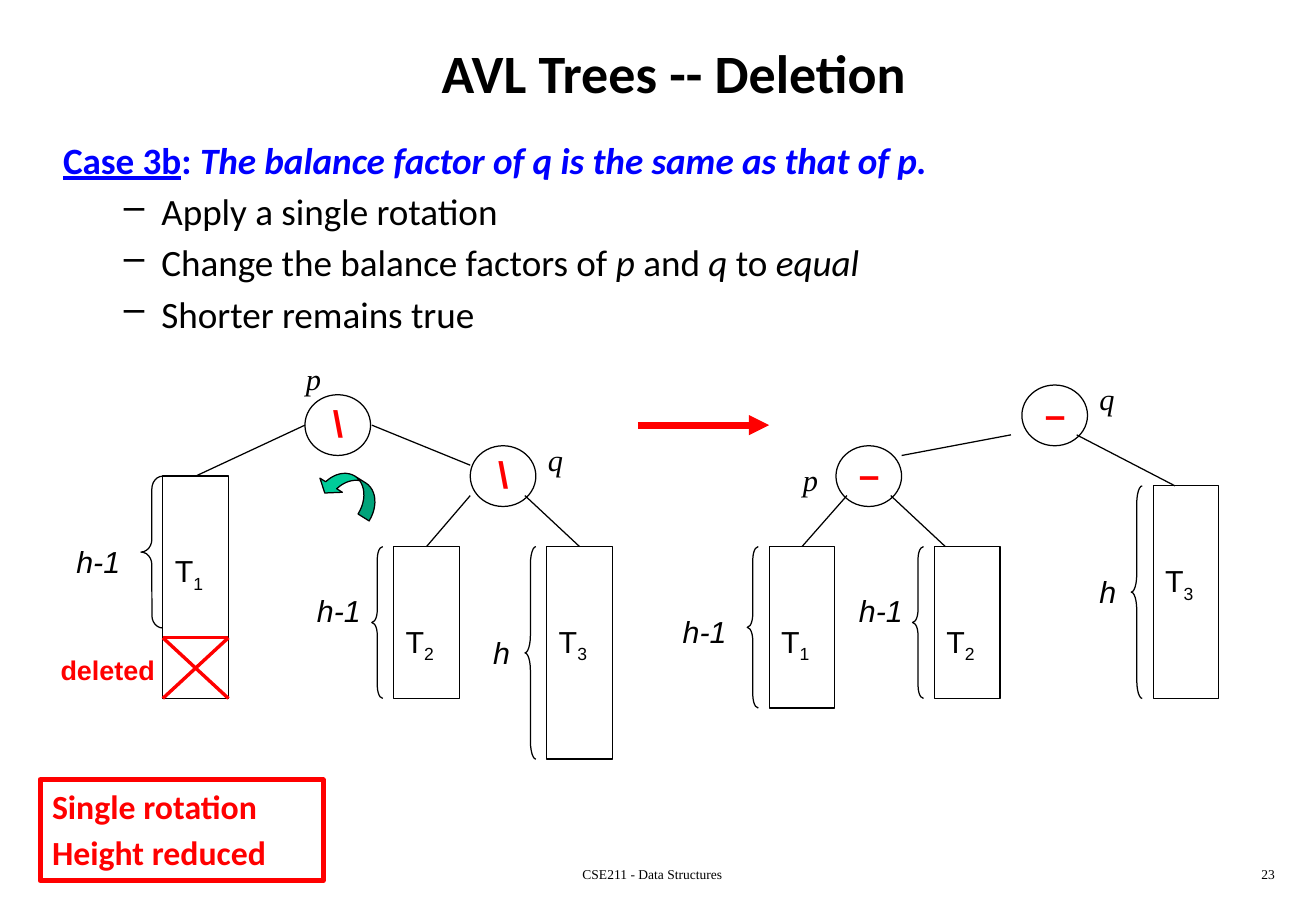
from lxml import etree
from pptx import Presentation
from pptx import util as u
from pptx.dml.color import RGBColor
from pptx.enum import shapes, text
from pptx.oxml import ns

COLORS = {"ink": "000000", "paper": "FFFFFF", "blue": "0000FF",
          "red": "FF0000", "green": "00CC99"}

STYLES = {
    "title": {"name": "Calibri", "size": 32, "bold": True, "color": "ink"},
    "case": {"name": "Calibri", "size": 22, "bold": True, "color": "blue"},
    "point": {"name": "Calibri", "size": 22, "bold": False, "color": "ink"},
    "result": {"name": "Calibri", "size": 20, "bold": True, "color": "red"},
    "footer": {"name": "Times New Roman", "size": 8, "color": "ink"},
    "node": {"name": "Times New Roman", "size": 18, "italic": True, "color": "ink"},
    "balance": {"name": "Arial", "size": 22, "bold": True, "color": "red"},
    "tree": {"name": "Arial", "size": 18, "color": "ink"},
    "height": {"name": "Arial", "size": 18, "italic": True, "color": "ink"},
    "deleted": {"name": "Arial", "size": 16, "bold": True, "color": "red"},
}

TREE_W = 0.54
NODE_H = 0.5
BRACE_GAP = 0.18

# left, top, balance sign, sign offset, name, name left, name top
NODES = [
    (2.51, 3.25, "\\", 0.13, "p", 2.42, 2.92),
    (3.87, 3.67, "\\", 0.13, "q", 4.41, 3.58),
    (8.41, 3.17, "–", 0.09, "q", 8.95, 3.08),
    (6.88, 3.67, "–", 0.09, "p", 6.51, 3.75),
]

# number, left, top, box height, name top, brace width, brace height,
# height label, label left, label top, label width
SUBTREES = [
    ("1", 1.34, 3.92, 1.83, 4.5, 0.18, 1.25, "h-1", 0.53, 4.42, 0.99),
    ("2", 3.24, 4.5, 1.25, 5.08, 0.09, 1.25, "h-1", 2.51, 4.83, 0.9),
    ("3", 4.5, 4.5, 1.75, 5.08, 0.09, 1.75, "h", 3.96, 5.17, 0.54),
    ("1", 6.33, 4.5, 1.33, 5.08, 0.09, 1.33, "h-1", 5.52, 5, 0.99),
    ("2", 7.69, 4.5, 1.25, 5.08, 0.09, 1.25, "h-1", 6.97, 4.83, 0.9),
    ("3", 9.49, 4, 1.75, 4.58, 0.09, 1.75, "h", 8.95, 4.67, 0.54),
]

EDGES = [
    (2.51, 3.5, 1.61, 3.92), (3.06, 3.5, 3.87, 3.83),
    (3.87, 4.08, 3.51, 4.5), (4.32, 4.08, 4.77, 4.5),
    (8.32, 3.58, 7.42, 3.75), (8.86, 3.58, 9.67, 4),
    (6.97, 4.08, 6.6, 4.5), (7.33, 4.08, 7.78, 4.5),
]

CROSS = [(1.34, 5.25, 1.88, 5.25), (1.34, 5.25, 1.88, 5.75),
         (1.88, 5.25, 1.34, 5.75)]

POINTS = [
    [("Apply a single rotation", False)],
    [("Change the balance factors of ", False), ("p ", True), ("and ", False),
     ("q ", True), ("to ", False), ("equal", True)],
    [("Shorter remains true", False)],
]


def rgb(name):
    return RGBColor.from_string(COLORS[name])


def add_span(para, words, style, **extra):
    """Add a run in a named style; extra overrides single font values."""
    span = para.add_run()
    span.text = words
    for key, value in {**STYLES[style], **extra}.items():
        if key == "color":
            span.font.color.rgb = rgb(value)
        else:
            setattr(span.font, key, u.Pt(value) if key == "size" else value)
    return span


def add_label(page, words, style, left, top, width, height=0.4, align="LEFT"):
    box = page.shapes.add_textbox(*map(u.Inches, (left, top, width, height)))
    box.text_frame.word_wrap = True
    para = box.text_frame.paragraphs[0]
    para.alignment = getattr(text.PP_ALIGN, align)
    add_span(para, words, style)
    return box


def add_outline(page, kind, left, top, width, height, fill=None, line="ink", weight=0.75):
    shape = page.shapes.add_shape(kind, *map(u.Inches, (left, top, width, height)))
    shape.shadow.inherit = False
    if fill:
        shape.fill.solid()
        shape.fill.fore_color.rgb = rgb(fill)
    else:
        shape.fill.background()
    shape.line.color.rgb = rgb(line)
    shape.line.width = u.Pt(weight)
    return shape


def add_line(page, ends, color="ink", weight=0.75, arrow=False):
    line = page.shapes.add_connector(shapes.MSO_CONNECTOR.STRAIGHT, *map(u.Inches, ends))
    line.line.color.rgb = rgb(color)
    line.line.width = u.Pt(weight)
    if arrow:
        etree.SubElement(line.line._get_or_add_ln(), ns.qn("a:tailEnd"), type="triangle")
    etree.SubElement(line._element.spPr, ns.qn("a:effectLst"))


def add_dash_bullet(para):
    props = para._p.get_or_add_pPr()
    props.set("marL", str(u.Inches(0.81)))
    props.set("indent", str(u.Inches(-0.31)))
    etree.SubElement(props, ns.qn("a:buChar"), char="–")


def add_title(page):
    title = page.shapes.title
    title.left, title.top, title.width, title.height = map(u.Inches, (0.42, 0.17, 10.25, 0.84))
    title.text_frame.vertical_anchor = text.MSO_ANCHOR.MIDDLE
    para = title.text_frame.paragraphs[0]
    para.alignment = text.PP_ALIGN.CENTER
    add_span(para, "AVL Trees -- Deletion", "title")


def add_case(page):
    box = add_label(page, "Case 3b", "case", 0.42, 1.08, 9.08, 1.75)
    para = box.text_frame.paragraphs[0]
    para.runs[0].font.underline = True
    add_span(para, ": ", "case")
    add_span(para, "The balance factor of q is the same as that of p.", "case", italic=True)
    for point in POINTS:
        para = box.text_frame.add_paragraph()
        para.space_before = u.Pt(4)
        add_dash_bullet(para)
        for words, italic in point:
            add_span(para, words, "point", italic=italic)


def add_result(page):
    box = add_outline(page, shapes.MSO_SHAPE.RECTANGLE, 0.33, 6.42, 2.33, 0.83,
                      "paper", "red", 3)
    frame = box.text_frame
    frame.vertical_anchor = text.MSO_ANCHOR.TOP
    second = frame.add_paragraph()
    second.space_before = u.Pt(3.5)
    for para, words in zip(frame.paragraphs, ("Single rotation", "Height reduced")):
        para.alignment = text.PP_ALIGN.LEFT
        add_span(para, words, "result")


def add_node(page, left, top, sign, offset, name, name_left, name_top):
    add_outline(page, shapes.MSO_SHAPE.OVAL, left, top, TREE_W, NODE_H)
    add_label(page, sign, "balance", left + offset, top, 0.45, 0.47)
    add_label(page, name, "node", name_left, name_top, 0.63)


def add_subtree(page, number, left, top, height, name_top, brace_w, brace_h,
                size, size_left, size_top, size_w):
    add_outline(page, shapes.MSO_SHAPE.RECTANGLE, left, top, TREE_W, height)
    name = add_label(page, "T", "tree", left, name_top, TREE_W)
    index = add_span(name.text_frame.paragraphs[0], number, "tree")
    index.font._element.set("baseline", "-25000")
    brace = add_outline(page, shapes.MSO_SHAPE.LEFT_BRACE, left - BRACE_GAP, top,
                        brace_w, brace_h)
    brace.adjustments[0] = brace_h / 12 / brace_w
    add_label(page, size, "height", size_left, size_top, size_w)


def add_rotation_arrow(page):
    arrow = add_outline(page, shapes.MSO_SHAPE.CURVED_LEFT_ARROW, 2.75, 3.77, 0.25, 0.54, "green")
    arrow.rotation = 302.2
    arrow._element.spPr.xfrm.set("flipV", "1")
    for index, value in enumerate((0.43, 0.87, 0.33)):
        arrow.adjustments[index] = value


def main():
    deck = Presentation()
    deck.slide_width, deck.slide_height = u.Inches(10.83), u.Inches(7.5)
    page = deck.slides.add_slide(deck.slide_layouts[5])
    add_title(page)
    add_case(page)
    add_label(page, "CSE211 - Data Structures", "footer", 3.34, 7.08, 4.06, 0.25, "CENTER")
    add_label(page, "23", "footer", 8.33, 7.08, 2.26, 0.25, "RIGHT")
    add_result(page)
    for node in NODES:
        add_node(page, *node)
    for subtree in SUBTREES:
        add_subtree(page, *subtree)
    for ends in EDGES:
        add_line(page, ends)
    for ends in CROSS:
        add_line(page, ends, "red", 2)
    add_label(page, "deleted", "deleted", 0.4, 5.33, 1.26, 0.37)
    add_rotation_arrow(page)
    add_line(page, (5.25, 3.5, 6.33, 3.5), "red", 4, arrow=True)
    deck.save("out.pptx")


if __name__ == "__main__":
    main()
